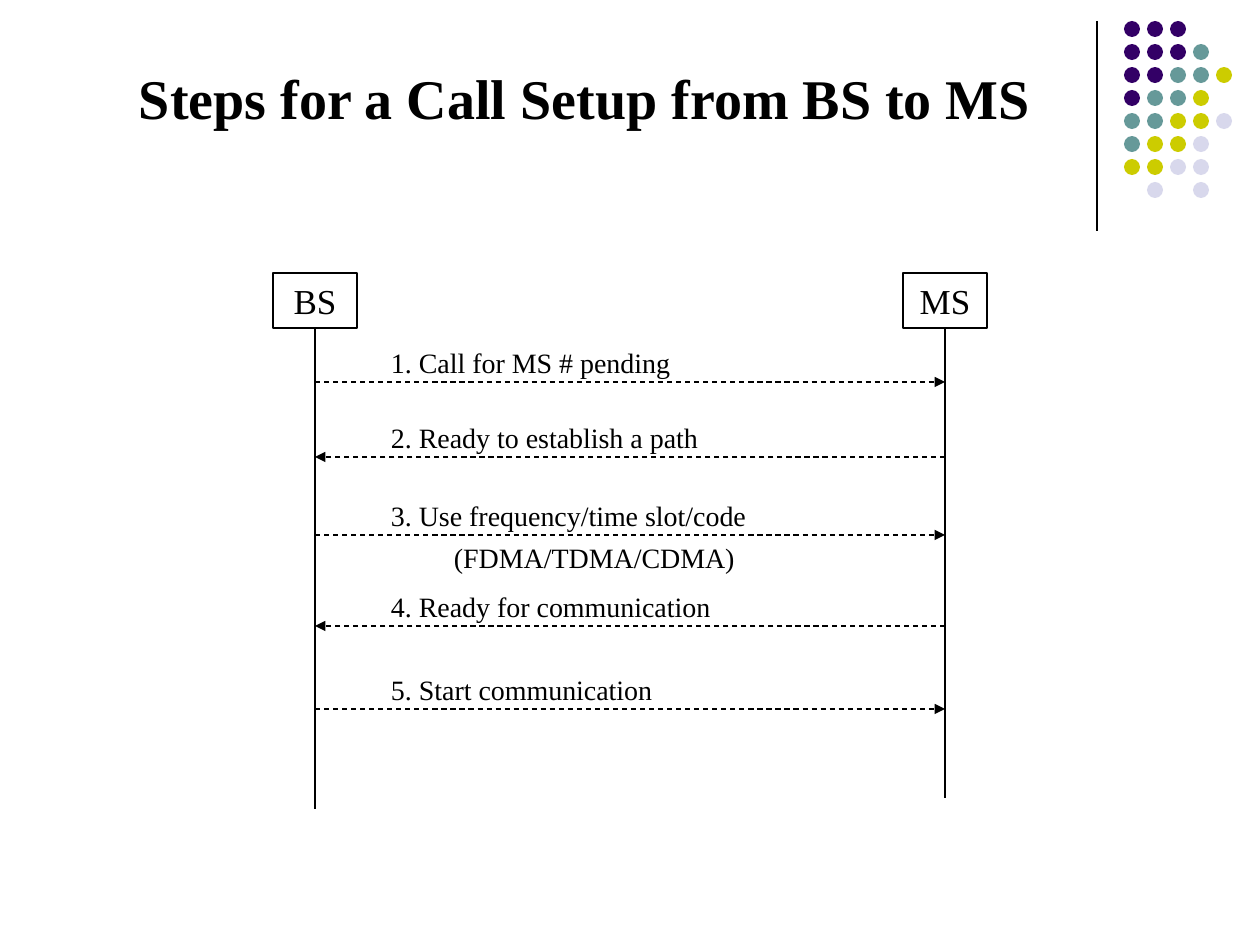
"""Build a slide with the message sequence of a call setup from BS to MS."""
import dataclasses
import typing

import lxml.etree
import pptx
import pptx.dml.color
import pptx.enum.dml
import pptx.enum.shapes
import pptx.enum.text
import pptx.oxml.ns
import pptx.util

SCALE = 914400 / 126
ALIGN = pptx.enum.text.PP_ALIGN
ANCHOR = pptx.enum.text.MSO_ANCHOR
SHAPE = pptx.enum.shapes.MSO_SHAPE
DASH = pptx.enum.dml.MSO_LINE.DASH


def px(*spans):
    return [pptx.util.Emu(round(span * SCALE)) for span in spans]


def color(code):
    return pptx.dml.color.RGBColor.from_string(code)


def apply(target, values):
    for name, value in values.items():
        setattr(target, name, value)


def add_tag(parent, name, **values):
    lxml.etree.SubElement(parent, pptx.oxml.ns.qn(name), values)


@dataclasses.dataclass
class Sheet:
    slide: typing.Any
    face: str = "Times New Roman"
    ink: str = "000000"
    weight: float = 0.75

    def stroke(self, line):
        line.color.rgb = color(self.ink)
        line.width = pptx.util.Pt(self.weight)

    def letter(self, shape, text, size, bold=False, align=ALIGN.LEFT,
               anchor=ANCHOR.TOP, indent=0):
        left, side, edge = px(13 + indent, 13, 6)
        frame = shape.text_frame
        apply(frame, {"word_wrap": True, "vertical_anchor": anchor,
                      "margin_left": left, "margin_right": side,
                      "margin_top": edge, "margin_bottom": edge})
        par = frame.paragraphs[0]
        par.text, par.alignment = text, align
        apply(par.font, {"name": self.face, "size": pptx.util.Pt(size), "bold": bold})
        par.font.color.rgb = color(self.ink)

    def label(self, box, text, size, **style):
        self.letter(self.slide.shapes.add_textbox(*px(*box)), text, size, **style)

    def node(self, box, text):
        rect = self.slide.shapes.add_shape(SHAPE.RECTANGLE, *px(*box))
        rect.shadow.inherit = False
        rect.fill.background()
        self.stroke(rect.line)
        self.letter(rect, text, 20, align=ALIGN.CENTER)
        return rect

    def line(self, start, end, dash=None, arrow=False, source=None):
        link = self.slide.shapes.add_connector(
            pptx.enum.shapes.MSO_CONNECTOR.STRAIGHT, *px(*start, *end))
        self.stroke(link.line)
        if dash:
            link.line.dash_style = dash
        if arrow:
            add_tag(link.line._get_or_add_ln(), "a:tailEnd", type="triangle")
        add_tag(link._element.spPr, "a:effectLst")
        if source:
            link.begin_connect(source, 2)

    def dots(self, left, top, step, size, rows, shades):
        group = self.slide.shapes.add_group_shape()
        for i, row in enumerate(rows):
            for j, key in enumerate(row):
                if key in shades:
                    dot = group.shapes.add_shape(
                        SHAPE.OVAL, *px(left + j * step, top + i * step, size, size))
                    dot.shadow.inherit = False
                    dot.fill.solid()
                    dot.fill.fore_color.rgb = color(shades[key])
                    dot.line.fill.background()


def main():
    deck = pptx.Presentation()
    deck.slide_width, deck.slide_height = px(1260, 945)
    sheet = Sheet(deck.slides.add_slide(deck.slide_layouts[6]))

    sheet.line((1097, 21), (1097, 231))
    shades = {"P": "330066", "T": "669999", "Y": "CCCC00", "L": "D8D8EC"}
    rows = ["PPP", "PPPT", "PPTTY", "PTTY", "TTYYL", "TYYL", "YYLL", ".L.L"]
    sheet.dots(1124, 21, 23, 16, rows, shades)
    sheet.label((126, 21, 1121, 116), "Steps for a Call Setup from BS to MS", 32,
                bold=True, anchor=ANCHOR.BOTTOM)

    base, mobile = 315, 945
    for name, mid, end in (("BS", base, 809), ("MS", mobile, 798)):
        rect = sheet.node((mid - 42, 273, 84, 55), name)
        sheet.line((mid, 328), (mid, end), source=rect)

    steps = [(382, "Call for MS # pending"), (457, "Ready to establish a path"),
             (535, "Use frequency/time slot/code"),
             (626, "Ready for communication"), (709, "Start communication")]
    for count, (y, text) in enumerate(steps, 1):
        start, end = (base, mobile) if count % 2 else (mobile, base)
        sheet.line((start, y), (end, y), dash=DASH, arrow=True)
        sheet.label((378, y - 42, 557, 46), f"{count}. {text}", 16)
    sheet.label((378, 535, 557, 46), "(FDMA/TDMA/CDMA)", 16, indent=63)

    deck.save("out.pptx")


if __name__ == "__main__":
    main()
